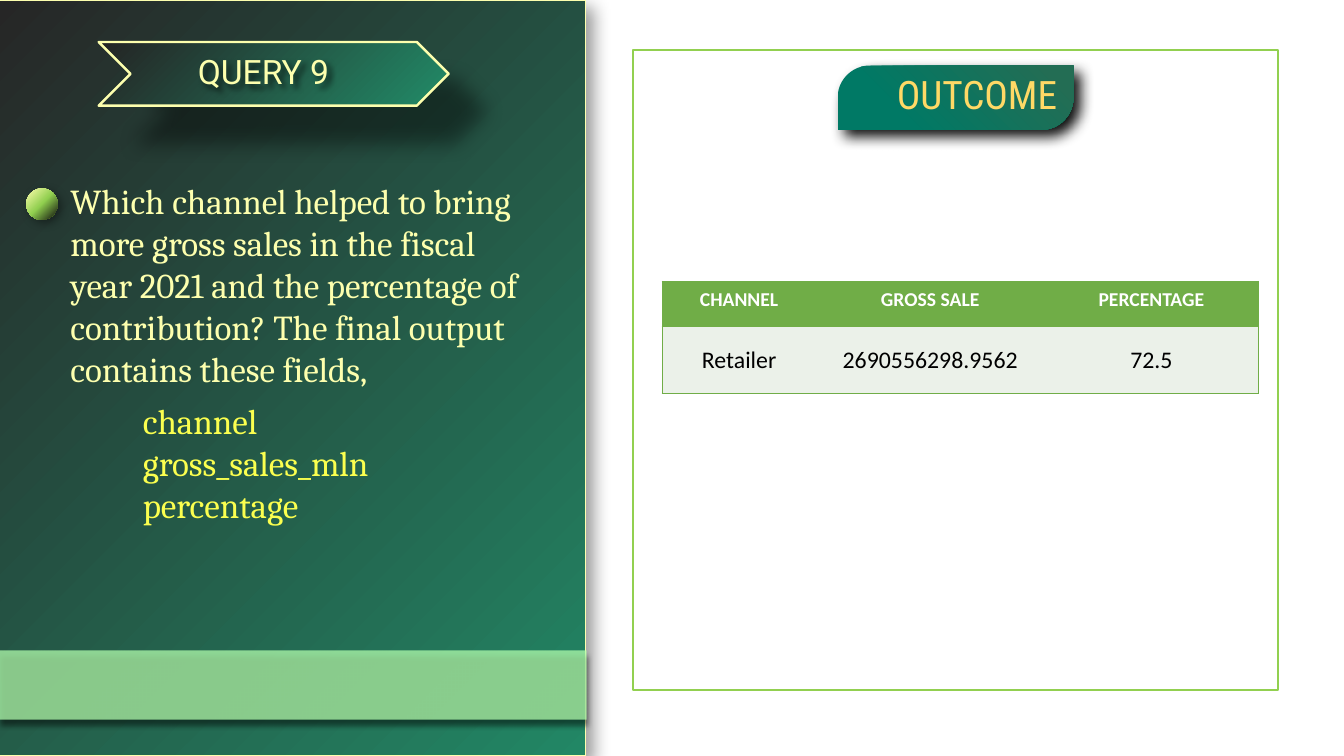
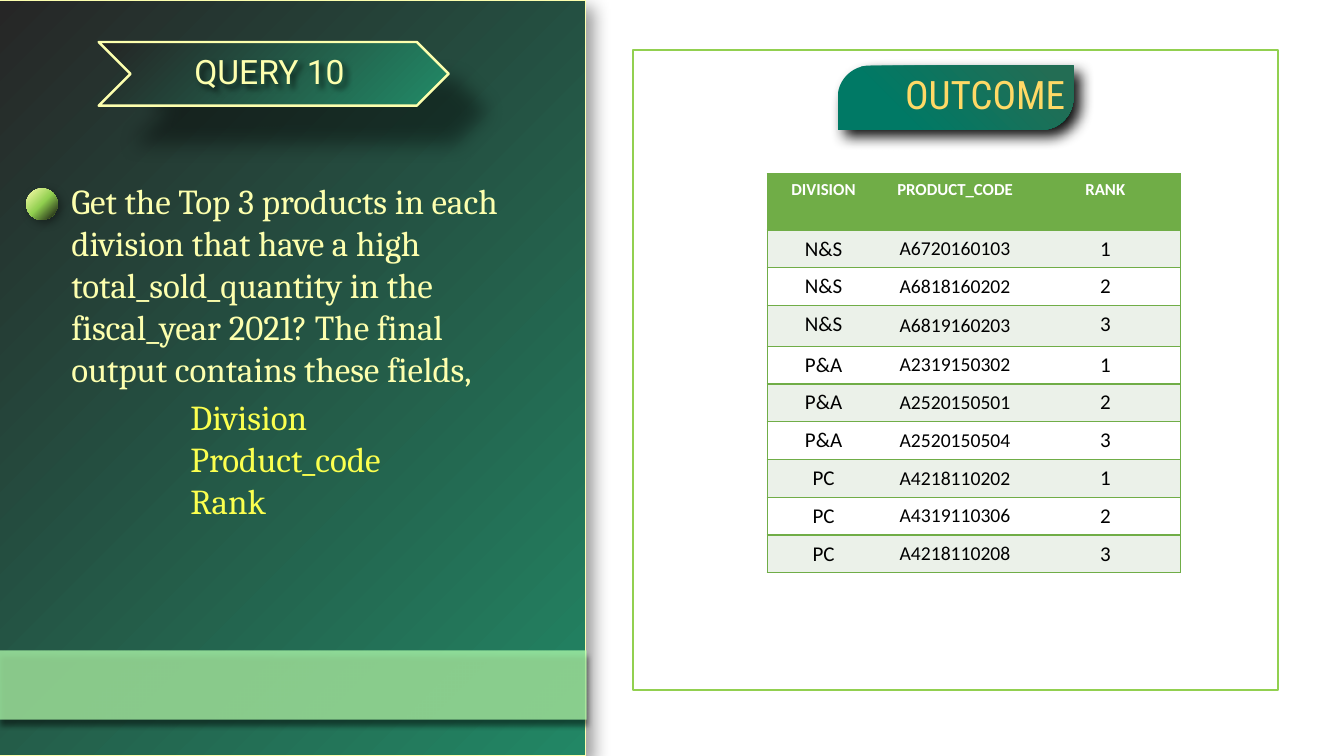
from lxml import etree
from pptx import Presentation
from pptx.dml import color
from pptx.enum import shapes, text
from pptx.oxml import ns
from pptx.util import Pt


def rgb(value):
    return color.RGBColor.from_string(value)


def assign(target, values):
    for name, value in values.items():
        setattr(target, name, value)


def add_node(parent, tag, **attributes):
    node = etree.SubElement(parent, ns.qn(tag))
    for name, value in attributes.items():
        node.set(name, str(value))
    return node


def add_color(parent, value, alpha=100):
    node = add_node(parent, "a:srgbClr", val=value)
    if alpha < 100:
        add_node(node, "a:alpha", val=alpha * 1000)


class QueryDeck:
    CREAM = "FDFFAE"
    YELLOW = "FBFF4F"
    GOLD = "FFD966"
    LIME = "92D050"
    MINT = "B3FFAE"
    GREEN = "70AD47"
    PALE = "EBF1E9"
    WHITE = "FFFFFF"
    BLACK = "000000"
    PANEL_STOPS = [(0, "262626"), (100, "228765")]
    CHEVRON_STOPS = [(0, "242424"), (96, "228765"), (100, "D6FFBE")]
    TAB_STOPS = [(25, "007965"), (91, "236D54")]
    BALL_STOPS = [(0, CREAM), (50, LIME), (100, "0D0D0D")]

    def __init__(self):
        self.deck = Presentation()
        assign(self.deck, {"slide_width": Pt(960), "slide_height": Pt(540)})
        self.page = None

    def new_page(self):
        self.page = self.deck.slides.add_slide(self.deck.slide_layouts[5])

    def shadow(self, shape, alpha, blur, distance, angle):
        shape.shadow.inherit = False
        effects = shape.element.spPr.find(ns.qn("a:effectLst"))
        outer = add_node(effects, "a:outerShdw", blurRad=Pt(blur), dist=Pt(distance),
                         dir=angle * 60000, algn="tl", rotWithShape=0)
        add_color(outer, self.BLACK, alpha)

    def gradient(self, shape, stops, angle):
        shape.fill.gradient()
        shape.fill.gradient_angle = angle
        stop_list = shape.element.spPr.find(".//" + ns.qn("a:gsLst"))
        for stop in list(stop_list):
            stop_list.remove(stop)
        for position, value in stops:
            add_color(add_node(stop_list, "a:gs", pos=position * 1000), value)

    def shape(self, kind, place, fill=None, alpha=100, stops=None, angle=315,
              line=None, width=1, shadow=None):
        shape = self.page.shapes.add_shape(kind, *map(Pt, place))
        shape.shadow.inherit = False
        if stops:
            self.gradient(shape, stops, angle)
        elif fill:
            shape.fill.solid()
            shape.fill.fore_color.rgb = rgb(fill)
            if alpha < 100:
                value = shape.element.spPr.find(".//" + ns.qn("a:srgbClr"))
                add_node(value, "a:alpha", val=alpha * 1000)
        else:
            shape.fill.background()
        if line:
            shape.line.color.rgb = rgb(line)
            shape.line.width = Pt(width)
        else:
            shape.line.fill.background()
        if shadow:
            self.shadow(shape, *shadow)
        return shape

    def add_lines(self, frame, lines, font, size, value, bold=False, **layout):
        for index, line in enumerate(lines):
            para = frame.paragraphs[0] if index == 0 else frame.add_paragraph()
            assign(para, layout)
            span = para.add_run()
            span.text = line
            assign(span.font, {"name": font, "size": Pt(size), "bold": bold})
            span.font.color.rgb = rgb(value)

    def text_box(self, place, lines, font, size, value):
        box = self.page.shapes.add_textbox(*map(Pt, place))
        box.text_frame.word_wrap = True
        self.add_lines(box.text_frame, lines, font, size, value)

    def title(self, left, words):
        title = self.page.shapes.title
        assign(title, dict(zip(("left", "top", "width", "height"),
                               map(Pt, (left, 36, 303, 55.5)))))
        assign(title.text_frame, {"word_wrap": True,
                                  "auto_size": text.MSO_AUTO_SIZE.NONE,
                                  "vertical_anchor": text.MSO_ANCHOR.TOP})
        self.add_lines(title.text_frame, [words], "Roboto", 24, self.CREAM,
                       alignment=text.PP_ALIGN.CENTER, line_spacing=0.9)
        self.shadow(title, 60, 4, 4, 45)
        title.element.getparent().append(title.element)

    def backdrop(self, title_left, title):
        kinds = shapes.MSO_SHAPE
        self.shape(kinds.RECTANGLE, (452, 36, 461, 457), line=self.LIME, width=1.5)
        self.shape(kinds.RECTANGLE, (-0.7, 0, 419, 540), stops=self.PANEL_STOPS,
                   line=self.CREAM, shadow=(40, 12, 8, 45))
        self.shape(kinds.CHEVRON, (70.5, 30, 250, 45.5), stops=self.CHEVRON_STOPS,
                   line=self.CREAM, width=1.75, shadow=(40, 15, 37, 45))
        self.title(title_left, title)
        self.shape(kinds.RECTANGLE, (0, 464.5, 419, 49.5), fill=self.MINT, alpha=74,
                   shadow=(66, 4, 4, 90))
        self.shape(kinds.FLOWCHART_CONNECTOR, (18.7, 134.6, 22.5, 22.5),
                   stops=self.BALL_STOPS, shadow=(40, 7, 3, 45))

    def outcome(self, left):
        tab = self.shape(shapes.MSO_SHAPE.ROUND_2_DIAG_RECTANGLE, (598.3, 46.8, 168.5, 46),
                         stops=self.TAB_STOPS, angle=45, shadow=(95, 10, 7, 45))
        tab.adjustments[0] = 0.5
        self.text_box((left, 46.8, 173, 41), ["OUTCOME"], "Roboto Condensed", 28, self.GOLD)

    def question(self, left, width, words):
        self.text_box((left, 124.8, width, 157.2), [words], "Cambria", 25, self.CREAM)

    def fields(self, left, top, names):
        self.text_box((left, top, 260, 97.2), names, "Cambria", 25, self.YELLOW)

    def borders(self, cell, sides):
        properties = cell._tc.get_or_add_tcPr()
        for side in "LRTB":
            line = add_node(properties, "a:ln" + side, w=Pt(1))
            if side in sides:
                add_color(add_node(line, "a:solidFill"), self.GREEN)
            else:
                add_node(line, "a:noFill")

    def cell(self, cell, words, fill, value, size, bold, middle, inset, sides):
        across, down = map(Pt, inset)
        assign(cell, {"margin_left": across, "margin_right": across,
                      "margin_top": down, "margin_bottom": down,
                      "vertical_anchor": text.MSO_ANCHOR.MIDDLE if middle
                      else text.MSO_ANCHOR.TOP})
        self.borders(cell, sides)
        cell.fill.solid()
        cell.fill.fore_color.rgb = rgb(fill)
        self.add_lines(cell.text_frame, [words], "Calibri", size, value, bold,
                       alignment=text.PP_ALIGN.CENTER)

    def table(self, left, top, widths, heights, rows, header_size, sizes, middle, inset):
        frame = self.page.shapes.add_table(len(rows), len(widths), Pt(left), Pt(top),
                                           Pt(sum(widths)), Pt(sum(heights)))
        table = frame.table
        table.horz_banding = False
        for column, width in zip(table.columns, widths):
            column.width = Pt(width)
        for row, height in zip(table.rows, heights):
            row.height = Pt(height)
        last = len(widths) - 1
        for r, row in enumerate(rows):
            for c, words in enumerate(row):
                sides = "TB" + "L" * (c == 0) + "R" * (c == last)
                if r == 0:
                    look = (self.GREEN, self.WHITE, header_size, True, False, inset)
                else:
                    fill = self.PALE if r % 2 else self.WHITE
                    look = (fill, self.BLACK, sizes[c], False, middle[c],
                            (7.2, 3.6) if middle[c] else inset)
                self.cell(table.cell(r, c), words, *look, sides)


def main():
    deck = QueryDeck()

    deck.new_page()
    deck.backdrop(36.7, "QUERY 9")
    deck.question(43.2, 345, "Which channel helped to bring more gross sales in the fiscal "
                  "year 2021 and the percentage of contribution? The final output "
                  "contains these fields,")
    deck.outcome(633.6)
    deck.fields(95, 282, ["channel", "gross_sales_mln", "percentage"])
    deck.table(473, 201, (110, 163, 153), (32.5, 47.5),
               [("CHANNEL", "GROSS SALE", "PERCENTAGE"),
                ("Retailer", "2690556298.9562", "72.5")],
               14, (17, 17, 17), (True, True, True), (8.6, 4.3))

    deck.new_page()
    deck.backdrop(41, "QUERY 10")
    deck.question(43.9, 351, "Get the Top 3 products in each division that have a high "
                  "total_sold_quantity in the fiscal_year 2021? The final output "
                  "contains these fields,")
    products = {"N&S": ("A6720160103", "A6818160202", "A6819160203"),
                "P&A": ("A2319150302", "A2520150501", "A2520150504"),
                "PC": ("A4218110202", "A4319110306", "A4218110208")}
    ranking = [(division, code, str(rank)) for division, codes in products.items()
               for rank, code in enumerate(codes, 1)]
    deck.table(548, 124.3, (80.6, 107.3, 107.3), (40, 27, 27, 29) + (27,) * 6,
               [("DIVISION", "PRODUCT_CODE", "RANK")] + ranking,
               12, (15, 14, 15), (False, True, False), (9.4, 4.3))
    deck.outcome(639.4)
    deck.fields(129, 279, ["Division", "Product_code", "Rank"])

    deck.deck.save("out.pptx")


if __name__ == "__main__":
    main()
